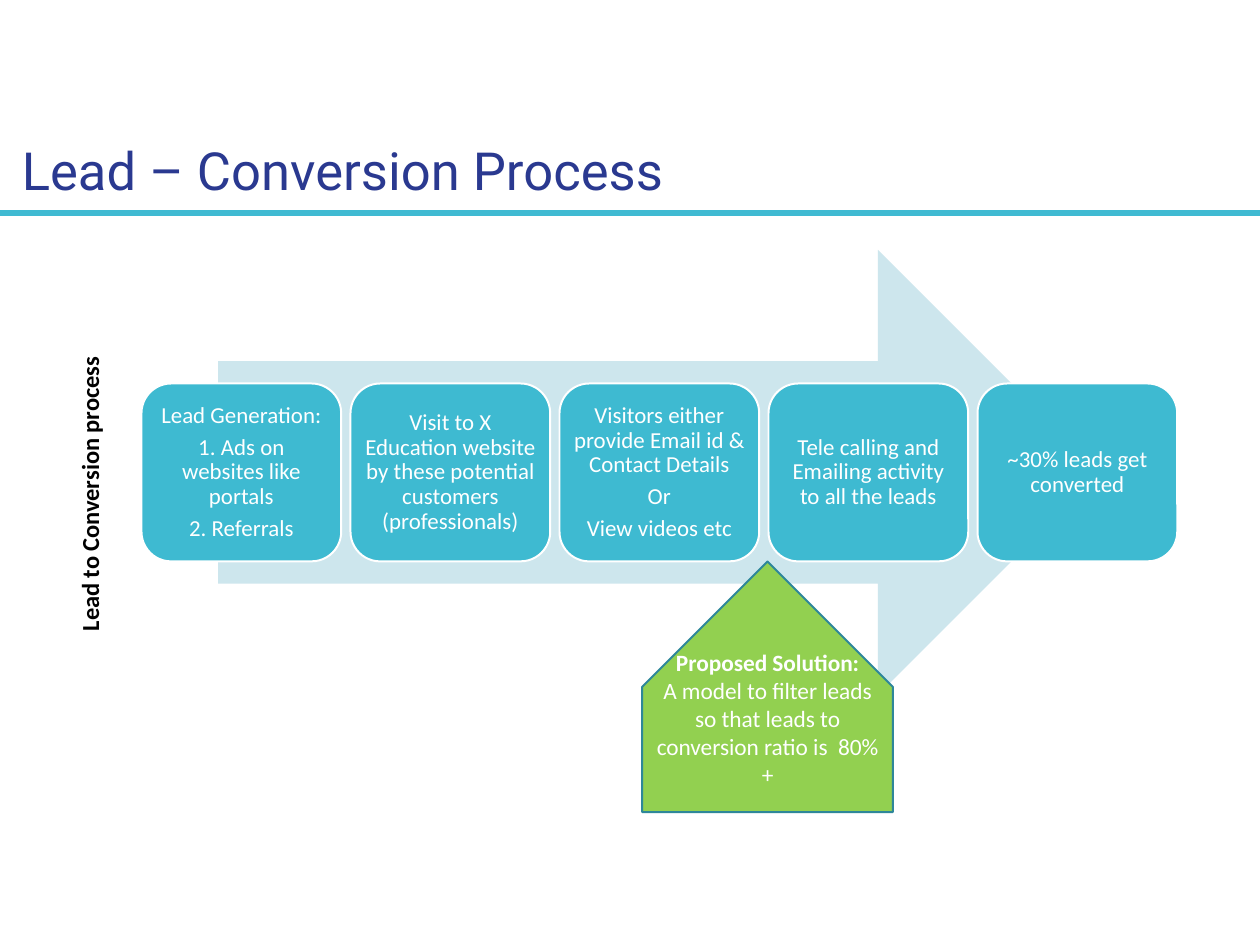
from pptx import Presentation
from pptx.dml.color import RGBColor
from pptx.enum.shapes import MSO_CONNECTOR, MSO_SHAPE
from pptx.enum.text import MSO_ANCHOR, PP_ALIGN
from pptx.util import Cm, Pt
from lxml.etree import SubElement
from pptx.oxml.ns import qn

COLORS = {
    "rule": "40BAD2", "title": "2A3990", "arrow": "CDE6ED", "step": "3EBAD1",
    "white": "FFFFFF", "black": "000000", "solution": "92D050", "outline": "2E8799",
}
STEPS = [
    ["Lead Generation:", "1. Ads on websites like portals", "2. Referrals"],
    ["Visit to X Education website by these potential customers (professionals)"],
    ["Visitors either provide Email id & Contact Details", "Or", "View videos etc"],
    ["Tele calling and Emailing activity to all the leads"],
    ["~30% leads get converted"],
]


def add_block(kind, left, top, width, height, fill, line=None):
    """Add a flat preset shape, in cm, with an optional thin outline."""
    sp = s.shapes.add_shape(kind, Cm(left), Cm(top), Cm(width), Cm(height))
    sp.shadow.inherit = False
    sp.fill.solid()
    sp.fill.fore_color.rgb = RGBColor.from_string(COLORS[fill])
    if line:
        sp.line.color.rgb = RGBColor.from_string(COLORS[line])
        sp.line.width = Pt(0.85)
    else:
        sp.line.fill.background()
    return sp


def write(sp, lines, size, color, inset_x=0.15, inset_y=0.08, font="Calibri",
          align=PP_ALIGN.CENTER, anchor=MSO_ANCHOR.MIDDLE):
    """Fill a shape with one formatted paragraph per line."""
    tf = sp.text_frame
    tf.text = "\n".join(lines)
    tf.word_wrap = True
    tf.vertical_anchor = anchor
    tf.margin_left = tf.margin_right = Cm(inset_x)
    tf.margin_top = tf.margin_bottom = Cm(inset_y)
    for p in tf.paragraphs:
        p.alignment = align
        f = p.runs[0].font
        f.name, f.size = font, Pt(size)
        f.color.rgb = RGBColor.from_string(COLORS[color])
    return tf.paragraphs


prs = Presentation()
prs.slide_width, prs.slide_height = Cm(19.05), Cm(14.29)
s = prs.slides.add_slide(prs.slide_layouts[5])

# Title and rule
rule = s.shapes.add_connector(MSO_CONNECTOR.STRAIGHT, 0, Cm(3.22), prs.slide_width, Cm(3.22))
rule.line.color.rgb = RGBColor.from_string(COLORS["rule"])
rule.line.width = Pt(2.25)
SubElement(rule._element.spPr, qn("a:effectLst"))

title = s.shapes.title
title.left, title.top, title.width, title.height = Cm(0.18), Cm(2), Cm(14.73), Cm(0.92)
write(title, ["Lead – Conversion Process"], 22.5, "title", font="Roboto",
      align=PP_ALIGN.LEFT, anchor=MSO_ANCHOR.TOP)

# Process arrow with its steps
add_block(MSO_SHAPE.RIGHT_ARROW, 3.3, 3.78, 13.34, 6.73, "arrow")
for i, lines in enumerate(STEPS):
    step = add_block(MSO_SHAPE.ROUNDED_RECTANGLE, 2.14 + 3.16 * i, 5.8, 3.02, 2.69,
                     "step", "white")
    for j, p in enumerate(write(step, lines, 9.8, "white", 0.07, 0.1)):
        p.line_spacing = 0.9
        p.space_before = Pt(3 if j else 0)

label = s.shapes.add_textbox(Cm(-0.94), Cm(6.96), Cm(5), Cm(1.02))
label.rotation = 270
p = write(label, ["Lead to Conversion process"], 10.5, "black", anchor=MSO_ANCHOR.TOP)[0]
p.runs[0].font.bold = True

# Proposed solution
pentagon = add_block(MSO_SHAPE.PENTAGON, 9.71, 8.49, 3.79, 3.79, "solution", "outline")
pentagon.rotation = 270
solution = s.shapes.add_textbox(Cm(9.71), Cm(9.44), Cm(3.79), Cm(2.84))
heading = write(solution, ["Proposed Solution:",
                           "A model to filter leads so that leads to conversion ratio is  80%+"],
                10, "white")[0]
heading.runs[0].font.bold = True

prs.save("out.pptx")
